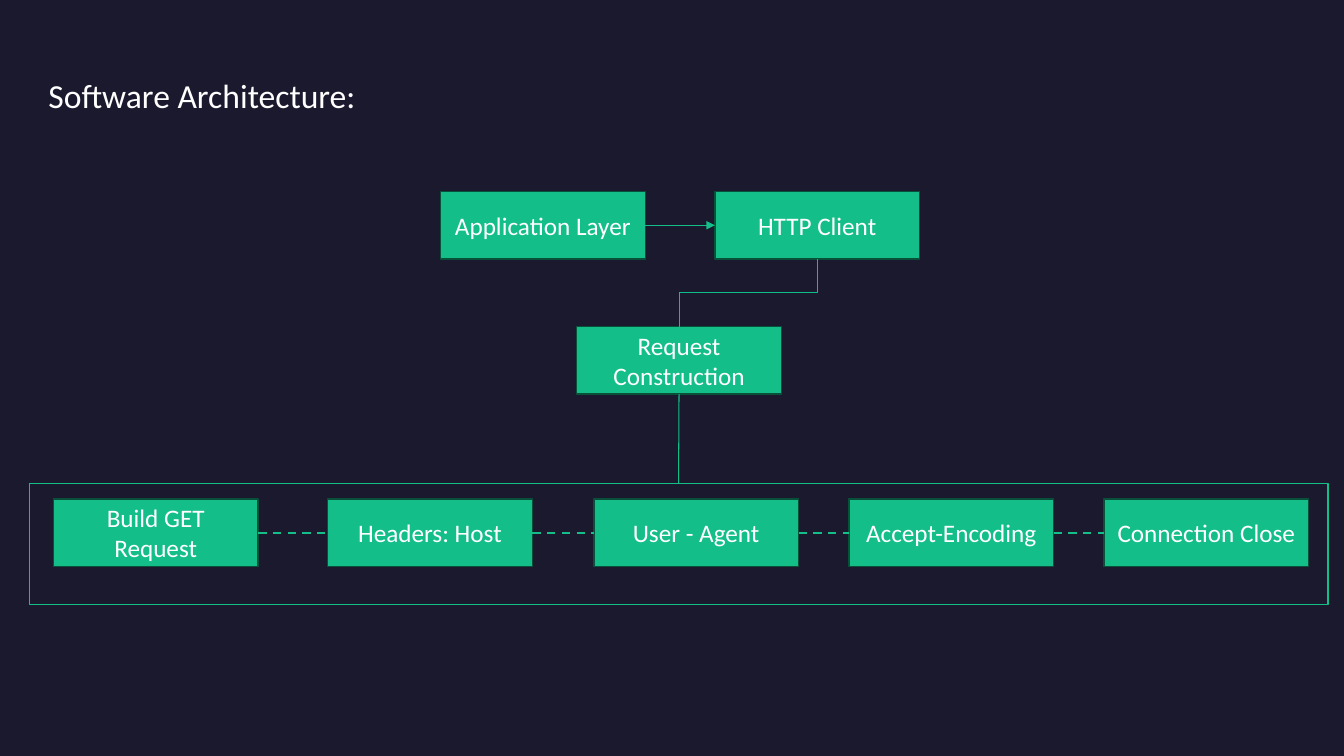
from itertools import pairwise

from lxml import etree
from pptx import Presentation
from pptx.dml.color import RGBColor
from pptx.enum.dml import MSO_LINE
from pptx.enum.shapes import MSO_CONNECTOR, MSO_SHAPE
from pptx.enum.text import MSO_ANCHOR, MSO_AUTO_SIZE, PP_ALIGN
from pptx.oxml.ns import qn
from pptx.util import Inches, Pt

RECTANGLE = MSO_SHAPE.RECTANGLE
STRAIGHT, ELBOW = MSO_CONNECTOR.STRAIGHT, MSO_CONNECTOR.ELBOW
DASH = MSO_LINE.DASH
TOP, MIDDLE = MSO_ANCHOR.TOP, MSO_ANCHOR.MIDDLE
LEFT, CENTER = PP_ALIGN.LEFT, PP_ALIGN.CENTER
NO_AUTOFIT = MSO_AUTO_SIZE.NONE

NAVY, GREEN, DARK_GREEN, WHITE = "1B192E", "13BE89", "085039", "FFFFFF"
ELBOW_GREEN = "0EBE88"
BOX_WIDTH, BOX_HEIGHT = 2.03, 0.67
TOP_SITE, LEFT_SITE, BOTTOM_SITE, RIGHT_SITE = range(4)
REQUEST_PARTS = [
    ("Build GET Request", 0.53),
    ("Headers: Host", 3.25),
    ("User - Agent", 5.89),
    ("Accept-Encoding", 8.42),
    ("Connection Close", 10.95),
]


def rgb(value):
    return RGBColor.from_string(value)


def apply(target, values):
    for name, value in values.items():
        setattr(target, name, value)


def write(shape, text, size, align, anchor, vertical_inset):
    frame = shape.text_frame
    apply(frame, {
        "text": text, "word_wrap": True, "auto_size": NO_AUTOFIT,
        "vertical_anchor": anchor,
        "margin_left": Inches(0.1), "margin_right": Inches(0.1),
        "margin_top": Inches(vertical_inset),
        "margin_bottom": Inches(vertical_inset),
    })
    paragraph = frame.paragraphs[0]
    paragraph.alignment = align
    apply(paragraph.font, {"name": "Calibri", "size": Pt(size)})
    paragraph.font.color.rgb = rgb(WHITE)


def add_title(slide, text):
    title = slide.shapes.title
    apply(title, {"left": Inches(0.38), "top": Inches(0.64),
                  "width": Inches(5.51), "height": Inches(1.36)})
    write(title, text, 24, LEFT, TOP, 0.1)


def add_rectangle(slide, left, top, width, height, line_color):
    rectangle = slide.shapes.add_shape(
        RECTANGLE, Inches(left), Inches(top), Inches(width), Inches(height))
    rectangle.shadow.inherit = False
    rectangle.line.color.rgb = rgb(line_color)
    rectangle.line.width = Pt(1)
    return rectangle


def add_box(slide, text, left, top):
    box = add_rectangle(slide, left, top, BOX_WIDTH, BOX_HEIGHT, DARK_GREEN)
    box.fill.solid()
    box.fill.fore_color.rgb = rgb(GREEN)
    write(box, text, 18, CENTER, MIDDLE, 0.05)
    return box


def add_frame(slide, left, top, width, height):
    frame = add_rectangle(slide, left, top, width, height, GREEN)
    frame.fill.background()
    return frame


def link(slide, start, start_site, end, end_site,
         kind=STRAIGHT, color=GREEN, width=0.75):
    connector = slide.shapes.add_connector(kind, 0, 0, 0, 0)
    connector.begin_connect(start, start_site)
    connector.end_connect(end, end_site)
    connector.line.color.rgb = rgb(color)
    connector.line.width = Pt(width)
    etree.SubElement(connector.element.spPr, qn("a:effectLst"))
    return connector


def add_arrowhead(connector):
    line = connector.line._get_or_add_ln()
    etree.SubElement(line, qn("a:tailEnd"), type="triangle")


def turn_downwards(elbow):
    across, down = elbow.width, elbow.height
    center_x, center_y = elbow.left + across // 2, elbow.top + down // 2
    apply(elbow, {"left": center_x - down // 2, "top": center_y - across // 2,
                  "width": down, "height": across})
    apply(elbow.element.spPr.xfrm, {"rot": 90, "flipH": False})


def main():
    deck = Presentation()
    deck.slide_width, deck.slide_height = Inches(13.33), Inches(7.5)
    slide = deck.slides.add_slide(deck.slide_layouts[5])
    slide.background.fill.solid()
    slide.background.fill.fore_color.rgb = rgb(NAVY)

    add_title(slide, "Software Architecture:")
    application = add_box(slide, "Application Layer", 4.37, 1.9)
    client = add_box(slide, "HTTP Client", 7.09, 1.9)
    construction = add_box(slide, "Request Construction", 5.72, 3.24)
    request_frame = add_frame(slide, 0.29, 4.8, 12.88, 1.2)
    parts = [add_box(slide, text, left, 4.95) for text, left in REQUEST_PARTS]

    add_arrowhead(link(slide, application, RIGHT_SITE, client, LEFT_SITE))
    turn_downwards(link(slide, client, BOTTOM_SITE, construction, TOP_SITE,
                        ELBOW, ELBOW_GREEN))
    link(slide, construction, BOTTOM_SITE, request_frame, TOP_SITE)
    for part, following in pairwise(parts):
        dashed = link(slide, part, RIGHT_SITE, following, LEFT_SITE, width=1.5)
        dashed.line.dash_style = DASH

    deck.save("out.pptx")


if __name__ == "__main__":
    main()
